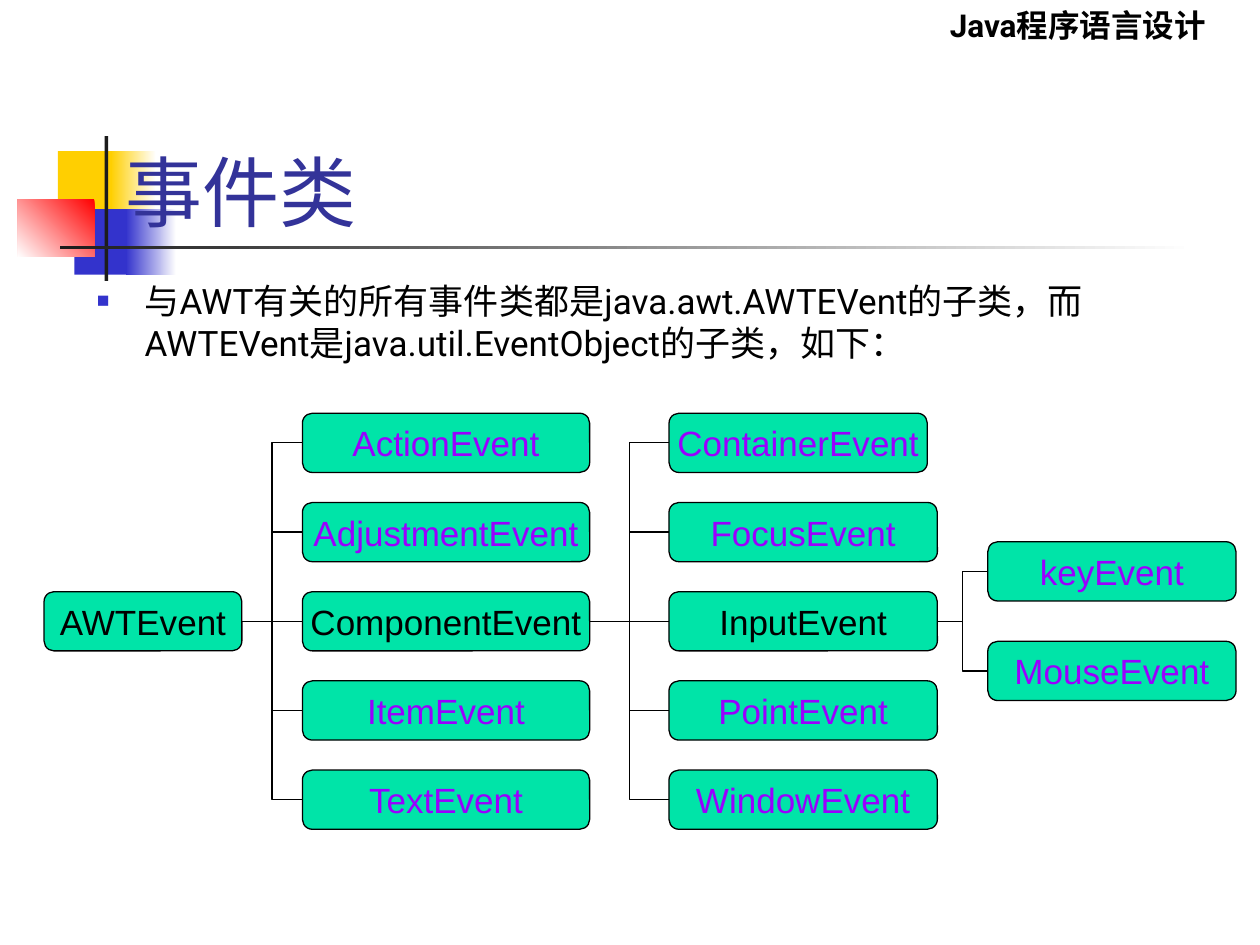
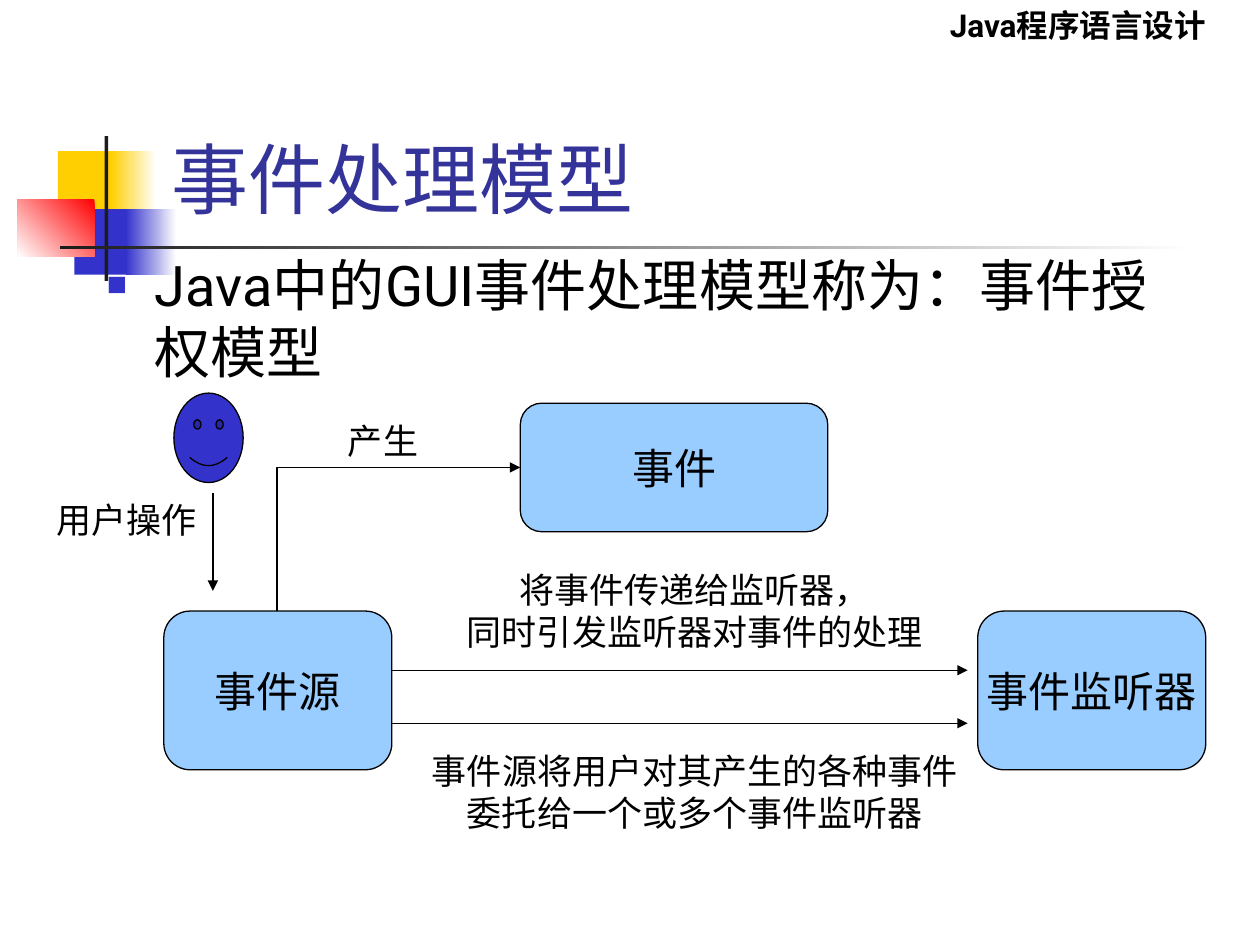
from lxml import etree
from pptx import Presentation
from pptx.dml.color import RGBColor
from pptx.enum.lang import MSO_LANGUAGE_ID
from pptx.enum.shapes import MSO_CONNECTOR, MSO_SHAPE
from pptx.enum.text import MSO_ANCHOR, PP_ALIGN
from pptx.oxml.ns import qn
from pptx.util import Inches, Pt

# Colours
BLACK = RGBColor(0x00, 0x00, 0x00)
WHITE = RGBColor(0xFF, 0xFF, 0xFF)
YELLOW = RGBColor(0xFF, 0xCF, 0x01)
BLUE = RGBColor(0x33, 0x33, 0xCC)
RED = RGBColor(0xFF, 0x00, 0x00)
CHARCOAL = RGBColor(0x1C, 0x1C, 0x1C)
TITLE_BLUE = RGBColor(0x33, 0x33, 0x99)
GREEN = RGBColor(0x00, 0xE4, 0xA8)
PURPLE = RGBColor(0x99, 0x00, 0xFF)
SKY = RGBColor(0x99, 0xCC, 0xFF)

# Fonts
MAIN_FONT = "Roboto"
DIAGRAM_FONT = "Arial"

# Connection sites of a rounded rectangle
LEFT_SITE, RIGHT_SITE = 1, 3


def add_run(p, text, size, color=BLACK, font=DIAGRAM_FONT, bold=False):
    r = p.add_run()
    r.text = text
    r.font.size = Pt(size)
    r.font.name = font
    r.font.bold = bold
    r.font.color.rgb = color
    r.font.language_id = MSO_LANGUAGE_ID.SIMPLIFIED_CHINESE


def add_text(s, box, lines, size, color=BLACK, font=DIAGRAM_FONT, bold=False,
             align=PP_ALIGN.LEFT, anchor=MSO_ANCHOR.TOP, before=0):
    """Add a wrapping text box with one paragraph per line; return its frame."""
    tf = s.shapes.add_textbox(*map(Inches, box)).text_frame
    tf.word_wrap = True
    tf.vertical_anchor = anchor
    for i, line in enumerate(lines):
        p = tf.add_paragraph() if i else tf.paragraphs[0]
        p.alignment = align
        p.space_before = Pt(before)
        add_run(p, line, size, color, font, bold)
    return tf


def add_figure(s, kind, box, fill, outlined=True):
    sp = s.shapes.add_shape(kind, *map(Inches, box))
    sp.shadow.inherit = False
    sp.fill.solid()
    sp.fill.fore_color.rgb = fill
    if outlined:
        sp.line.color.rgb = BLACK
        sp.line.width = Pt(0.75)
    else:
        sp.line.fill.background()
    return sp


def add_fade(s, box, start, end, angle=180):
    sp = add_figure(s, MSO_SHAPE.RECTANGLE, box, start, outlined=False)
    sp.fill.gradient()
    sp.fill.gradient_angle = angle
    for stop, color in zip(sp.fill.gradient_stops, (start, end)):
        stop.color.rgb = color


def add_node(s, box, text, size, fill, color=BLACK):
    sp = add_figure(s, MSO_SHAPE.ROUNDED_RECTANGLE, box, fill)
    tf = sp.text_frame
    tf.word_wrap = False
    tf.vertical_anchor = MSO_ANCHOR.MIDDLE
    p = tf.paragraphs[0]
    p.alignment = PP_ALIGN.CENTER
    add_run(p, text, size, color)
    return sp


def add_line(s, kind, start=(0, 0), end=(0, 0), arrow=None):
    """Add a thin line; arrow is headEnd, tailEnd or None."""
    line = s.shapes.add_connector(kind, *map(Inches, (*start, *end)))
    line.line.color.rgb = BLACK
    line.line.width = Pt(0.75)
    if arrow:
        ln = line.line._get_or_add_ln()
        etree.SubElement(ln, qn("a:" + arrow), type="triangle")
    etree.SubElement(line._element.spPr, qn("a:effectLst"))
    return line


def link(s, parent, child):
    level = abs(parent.top - child.top) < Inches(0.01)
    line = add_line(s, MSO_CONNECTOR.STRAIGHT if level else MSO_CONNECTOR.ELBOW)
    line.begin_connect(parent, RIGHT_SITE)
    line.end_connect(child, LEFT_SITE)


def add_bullet(s, box, text, size, before):
    tf = add_text(s, box, [text], size, font=MAIN_FONT, before=before)
    pPr = tf.paragraphs[0]._p.get_or_add_pPr()
    indent = Inches(0.38)
    pPr.set("marL", str(indent))
    pPr.set("indent", str(-indent))
    color = etree.SubElement(pPr, qn("a:buClr"))
    etree.SubElement(color, qn("a:srgbClr"), val=str(BLUE))
    etree.SubElement(pPr, qn("a:buSzPct"), val="60000")
    etree.SubElement(pPr, qn("a:buFont"), typeface=DIAGRAM_FONT)
    etree.SubElement(pPr, qn("a:buChar"), char="■")


def add_base_slide(prs, title, title_box):
    """Add a blank slide with the shared ornament, course name and title."""
    s = prs.slides.add_slide(prs.slide_layouts[6])
    rect = MSO_SHAPE.RECTANGLE
    add_figure(s, rect, (0.46, 1.2, 0.48, 0.52), YELLOW, outlined=False)
    add_fade(s, (0.88, 1.2, 0.36, 0.52), WHITE, YELLOW)
    add_figure(s, rect, (0.59, 1.66, 0.46, 0.52), BLUE, outlined=False)
    add_fade(s, (1, 1.66, 0.4, 0.52), WHITE, BLUE)
    add_fade(s, (0.14, 1.58, 0.61, 0.46), RED, WHITE, angle=225)
    add_figure(s, rect, (0.83, 1.08, 0.03, 1.15), CHARCOAL, outlined=False)
    add_fade(s, (0.48, 1.95, 9, 0.03), WHITE, CHARCOAL)
    add_text(s, (7.44, 0, 2.76, 0.4), ["Java程序语言设计"], 18,
             font=MAIN_FONT, bold=True)
    add_text(s, title_box, [title], 44, TITLE_BLUE, MAIN_FONT,
             anchor=MSO_ANCHOR.BOTTOM)
    return s


def add_event_column(s, parent, names, left, width, top, pitch, widths=None):
    """Stack event classes, link each to its parent, return them by name."""
    nodes = {}
    for i, name in enumerate(names):
        has_children = name in ("ComponentEvent", "InputEvent")
        box = (left, top + i * pitch, (widths or {}).get(name, width), 0.47)
        nodes[name] = add_node(s, box, name, 20, GREEN,
                               BLACK if has_children else PURPLE)
        link(s, parent, nodes[name])
    return nodes


def build_event_classes(prs):
    s = add_base_slide(prs, "事件类", (0.9, 0.68, 9.34, 1.25))
    add_bullet(s, (0.67, 2.17, 9, 4.49),
               "与AWT有关的所有事件类都是java.awt.AWTEVent的子类，"
               "而AWTEVent是java.util.EventObject的子类，如下：", 20, 5)

    # Class tree, from the root on the left to the leaves on the right
    top, pitch = 3.28, 0.708
    root = add_node(s, (0.35, top + 2 * pitch, 1.57, 0.47), "AWTEvent", 20, GREEN)
    events = add_event_column(
        s, root, ("ActionEvent", "AdjustmentEvent", "ComponentEvent",
                  "ItemEvent", "TextEvent"), 2.4, 2.28, top, pitch)
    components = add_event_column(
        s, events["ComponentEvent"],
        ("ContainerEvent", "FocusEvent", "InputEvent", "PointEvent",
         "WindowEvent"), 5.31, 2.13, top, pitch, {"ContainerEvent": 2.05})
    add_event_column(s, components["InputEvent"], ("keyEvent", "MouseEvent"),
                     7.84, 1.97, 4.3, 0.79)


def build_event_model(prs):
    s = add_base_slide(prs, "事件处理模型", (1.26, 0.23, 8.52, 1.6))
    add_bullet(s, (0.75, 1.94, 8.76, 3.87),
               "Java中的GUI事件处理模型称为：事件授权模型", 32, 8)

    # Source, listener, event and user
    add_node(s, (1.3, 4.85, 1.81, 1.26), "事件源", 24, SKY)
    add_node(s, (7.76, 4.85, 1.81, 1.26), "事件监听器", 24, SKY)
    add_node(s, (4.13, 3.2, 2.44, 1.02), "事件", 24, SKY)
    add_figure(s, MSO_SHAPE.SMILEY_FACE, (1.38, 3.12, 0.55, 0.71), BLUE)

    # Arrows
    add_line(s, MSO_CONNECTOR.STRAIGHT, (1.69, 3.91), (1.69, 4.69), "tailEnd")
    for y in (5.32, 5.74):
        add_line(s, MSO_CONNECTOR.STRAIGHT, (3.11, y), (7.68, y), "tailEnd")
    # One-corner elbow, drawn from the event back to its source
    elbow = add_line(s, MSO_CONNECTOR.ELBOW, (4.13, 3.71), (2.2, 4.85), "headEnd")
    elbow._element.spPr.find(qn("a:prstGeom")).set("prst", "bentConnector2")

    # Captions
    center = PP_ALIGN.CENTER
    add_text(s, (0.35, 3.91, 1.34, 0.44), ["用户操作"], 20, before=12.5)
    add_text(s, (2.48, 3.28, 1.12, 0.44), ["产生"], 20, align=center)
    add_text(s, (3.35, 4.46, 4.33, 0.77),
             ["将事件传递给监听器，", "同时引发监听器对事件的处理"], 20, align=center)
    add_text(s, (3.27, 5.9, 4.49, 0.77),
             ["事件源将用户对其产生的各种事件委托给一个或多个事件监听器"], 20,
             align=center, before=12.5)


def main():
    prs = Presentation()
    prs.slide_width = Inches(10)
    prs.slide_height = Inches(7.5)
    build_event_classes(prs)
    build_event_model(prs)
    prs.save("out.pptx")


if __name__ == "__main__":
    main()
